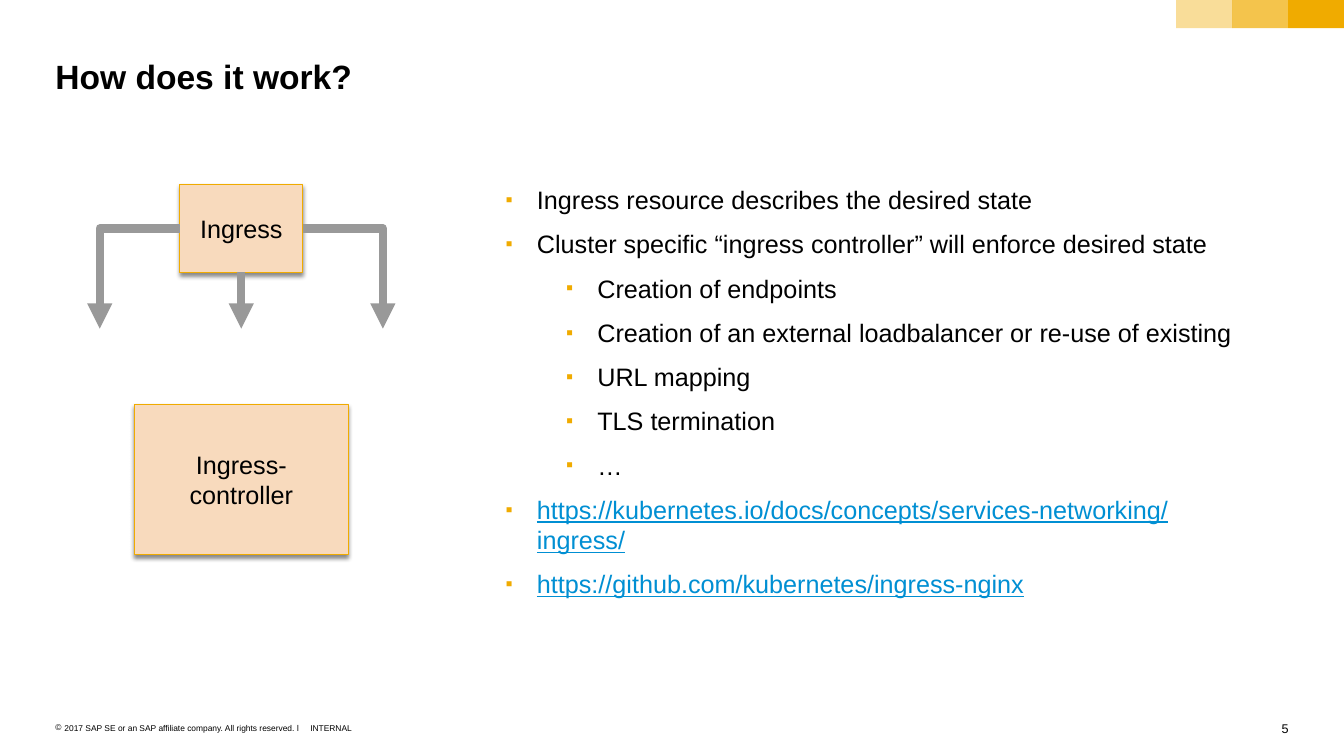
from lxml import etree
from pptx import Presentation
from pptx.dml.color import RGBColor
from pptx.enum.shapes import MSO_CONNECTOR as CONN, MSO_SHAPE as SHAPE
from pptx.enum.text import MSO_ANCHOR as ANCHOR, PP_ALIGN as ALIGN
from pptx.oxml.ns import qn
from pptx.util import Inches, Pt

W, H = 13.34, 7.5
MARGIN = 0.55
COLORS = {"gold": "F0AB00", "peach": "F8DABD", "gray": "999999",
          "link": "008FD3", "text": "000000"}
# (level, text)
POINTS = [
    (0, "Ingress resource describes the desired state"),
    (0, "Cluster specific “ingress controller” will enforce desired state"),
    (1, "Creation of endpoints"),
    (1, "Creation of an external loadbalancer or re-use of existing"),
    (1, "URL mapping"),
    (1, "TLS termination"),
    (1, "…"),
    (0, "https://kubernetes.io/docs/concepts/services-networking/ingress/"),
    (0, "https://github.com/kubernetes/ingress-nginx"),
]


def rgb(name):
    return RGBColor.from_string(COLORS[name])


def sub(parent, tag, **attrs):
    return etree.SubElement(parent, qn(tag), {k: str(v) for k, v in attrs.items()})


def add_run(p, text, size, color="text", **extra):
    r = p.add_run()
    r.text = text
    for key, value in {"name": "Arial", "size": Pt(size), **extra}.items():
        setattr(r.font, key, value)
    r.font.color.rgb = rgb(color)


def set_frame(tf, wrap=True, anchor=ANCHOR.TOP, inset=(0, 0)):
    tf.word_wrap, tf.vertical_anchor = wrap, anchor
    tf.margin_left = tf.margin_right = Inches(inset[0])
    tf.margin_top = tf.margin_bottom = Inches(inset[1])


def add_text(slide, box, wrap=True):
    tf = slide.shapes.add_textbox(*map(Inches, box)).text_frame
    set_frame(tf, wrap)
    return tf


def set_bullet(p, char, color, left, hang, size=100):
    pPr = p._p.get_or_add_pPr()
    pPr.set("marL", str(Inches(left)))
    pPr.set("indent", str(-Inches(hang)))
    sub(sub(pPr, "a:buClr"), "a:srgbClr", val=COLORS[color])
    sub(pPr, "a:buSzPct", val=size * 1000)
    sub(pPr, "a:buFont", typeface="Arial")
    sub(pPr, "a:buChar", char=char)


def add_rect(slide, box, fill):
    s = slide.shapes.add_shape(SHAPE.RECTANGLE, *map(Inches, box))
    s.shadow.inherit = False
    s.fill.solid()
    s.fill.fore_color.rgb = rgb(fill)
    s.line.fill.background()
    return s


# Corner blocks, fading towards the left
def add_corner(slide, right, width, height):
    for i, alpha in enumerate((100, 70, 40), 1):
        s = add_rect(slide, (right - i * width, 0, width, height), "gold")
        if alpha < 100:
            clr = s._element.spPr.find(".//" + qn("a:srgbClr"))
            sub(clr, "a:alpha", val=alpha * 1000)


# Footer line and slide number
def add_footer(slide, left, top, right):
    p = add_text(slide, (left, top, 2.48, 0.1)).paragraphs[0]
    set_bullet(p, "©", "text", 0.09, 0.09)
    add_run(p, "2017 SAP SE or an SAP affiliate company. All rights reserved. ǀ", 6)
    p = add_text(slide, (left + 2.53, top, 0.42, 0.1), False).paragraphs[0]
    add_run(p, "INTERNAL", 6)
    p = add_text(slide, (right - 0.15, top - 0.02, 0.15, 0.15), False).paragraphs[0]
    p.alignment = ALIGN.RIGHT
    add_run(p, "5", 9)


def add_title(slide, box, text):
    title = slide.shapes.title
    title.left, title.top, title.width, title.height = map(Inches, box)
    set_frame(title.text_frame)
    p = title.text_frame.paragraphs[0]
    p.alignment = ALIGN.LEFT
    add_run(p, text, 24, bold=True)


def add_node(slide, box, text):
    s = add_rect(slide, box, "peach")
    s.line.color.rgb = rgb("gold")
    s.line.width = Pt(0.79)
    shadow = sub(s._element.spPr.find(qn("a:effectLst")), "a:outerShdw",
                 blurRad=Pt(3), dist=Pt(2.4), dir=90 * 60000, rotWithShape=0)
    sub(sub(shadow, "a:srgbClr", val=COLORS["text"]), "a:alpha", val=45000)
    set_frame(s.text_frame, anchor=ANCHOR.MIDDLE, inset=(0.1, 0.08))
    p = s.text_frame.paragraphs[0]
    p.alignment = ALIGN.CENTER
    add_run(p, text, 18)
    return s


def add_arrow(slide, node, site, start, end):
    kind = CONN.STRAIGHT if start[0] == end[0] else CONN.ELBOW
    c = slide.shapes.add_connector(kind, *map(Inches, start + end))
    c.begin_connect(node, site)
    spPr = c._element.spPr
    if kind == CONN.ELBOW:
        spPr.find(qn("a:prstGeom")).set("prst", "bentConnector2")
    c.line.color.rgb = rgb("gray")
    c.line.width = Pt(6)
    sub(spPr.find(qn("a:ln")), "a:tailEnd", type="triangle")
    sub(spPr, "a:effectLst")


# Ingress with three arrows above its controller, on one centre line
def add_diagram(slide, left, top, width):
    mid = left + width / 2
    w, h = 1.22, 0.87
    node = add_node(slide, (mid - w / 2, top, w, h), "Ingress")
    tip, side = top + 1.43, top + h / 2
    add_arrow(slide, node, 3, (mid + w / 2, side), (left + width, tip))
    add_arrow(slide, node, 1, (mid - w / 2, side), (left, tip))
    add_arrow(slide, node, 2, (mid, top + h), (mid, tip))
    add_node(slide, (mid - 1.06, top + 2.18, 2.12, 1.49), "Ingress-controller")


def add_points(slide, box):
    tf = add_text(slide, box)
    for i, (level, text) in enumerate(POINTS):
        p = tf.add_paragraph() if i else tf.paragraphs[0]
        p.level = level
        if i:
            p.space_before = Pt(10)
        set_bullet(p, "▪", "gold", 0.31 + 0.6 * level, 0.31, 80)
        if text.startswith("https"):
            add_run(p, text, 18, "link", underline=True)
        else:
            add_run(p, text, 18)


def main():
    prs = Presentation()
    prs.slide_width, prs.slide_height = Inches(W), Inches(H)
    slide = prs.slides.add_slide(prs.slide_layouts[5])
    add_corner(slide, W, 0.555, 0.28)
    add_footer(slide, MARGIN, H - 0.33, W - MARGIN)
    add_title(slide, (MARGIN, MARGIN, W - 2 * MARGIN, 0.4), "How does it work?")
    add_diagram(slide, 0.99, 1.83, 2.81)
    add_points(slide, (5.02, 1.83, 7.43, 4.24))
    prs.save("out.pptx")


if __name__ == "__main__":
    main()
